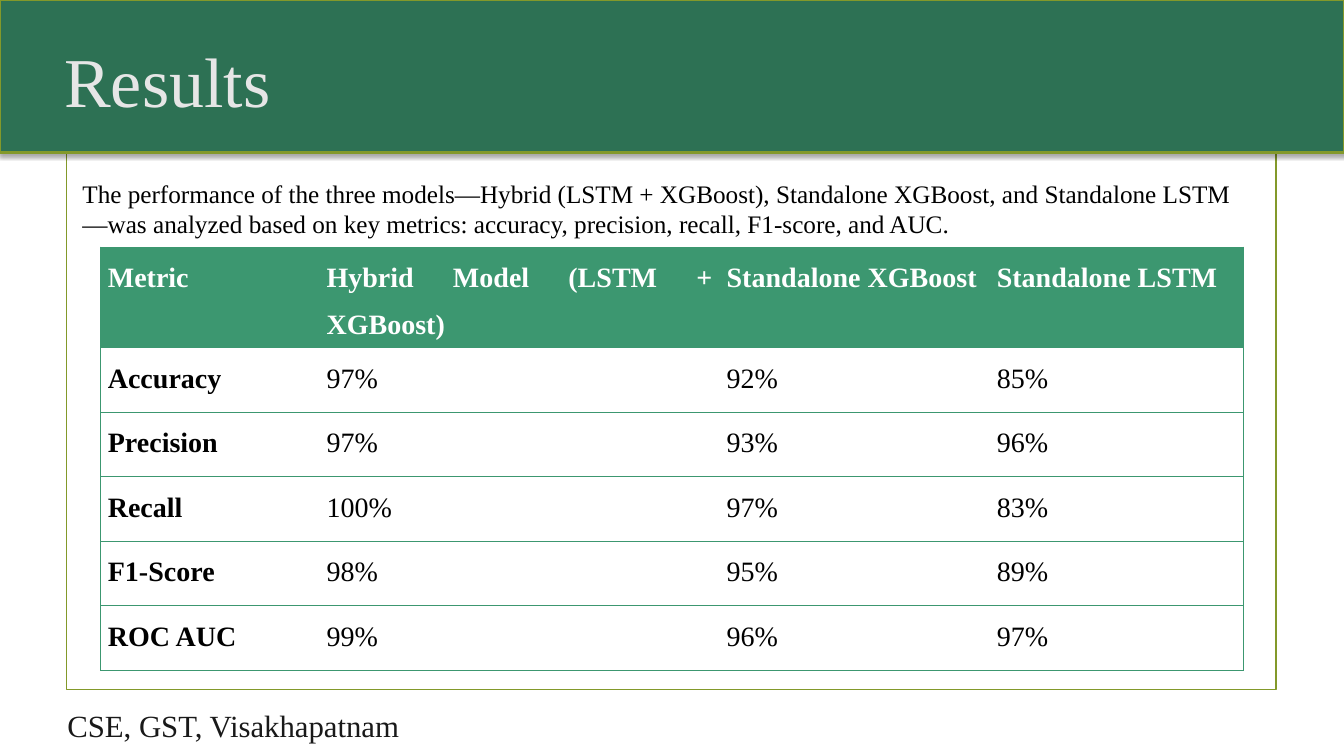
import pptx
import pptx.util
import pptx.oxml
import pptx.oxml.ns
import pptx.dml.color
import pptx.enum.shapes
import pptx.enum.text
import lxml.etree

COLS, ROWS = 160, 90
UNIT = pptx.util.Inches(7.5) // ROWS
FONT = "Times New Roman"
HUES = {
    "band": "2D7154",
    "edge": "83992A",
    "head": "3C9770",
    "pale": "E6E6E6",
    "dark": "191919",
    "ink": "000000",
    "white": "FFFFFF",
}
DATA = [
    ["Metric", "Hybrid Model (LSTM + XGBoost)", "Standalone XGBoost", "Standalone LSTM"],
    ["Accuracy", "97%", "92%", "85%"],
    ["Precision", "97%", "93%", "96%"],
    ["Recall", "100%", "97%", "83%"],
    ["F1-Score", "98%", "95%", "89%"],
    ["ROC AUC", "99%", "96%", "97%"],
]
INTRO = (
    "The performance of the three models—Hybrid (LSTM + XGBoost), Standalone XGBoost, "
    "and Standalone LSTM—was analyzed based on key metrics: accuracy, precision, recall, "
    "F1-score, and AUC."
)


def hue(name):
    return pptx.dml.color.RGBColor.from_string(HUES[name])


def place(box):
    return [round(part * UNIT) for part in box]


def style(para, size, color, bold=False):
    para.font.name = FONT
    para.font.size = pptx.util.Pt(size)
    para.font.bold = bold
    para.font.color.rgb = hue(color)


def panel(slide, box, width, fill=None):
    kind = pptx.enum.shapes.MSO_SHAPE.RECTANGLE
    shape = slide.shapes.add_shape(kind, *place(box))
    shape.shadow.inherit = False
    if fill:
        shape.fill.solid()
        shape.fill.fore_color.rgb = hue(fill)
    else:
        shape.fill.background()
    shape.line.color.rgb = hue("edge")
    shape.line.width = pptx.util.Pt(width)
    return shape


def label(slide, box, text, size, color, middle=False):
    frame = slide.shapes.add_textbox(*place(box)).text_frame
    frame.word_wrap = True
    if middle:
        frame.vertical_anchor = pptx.enum.text.MSO_ANCHOR.MIDDLE
    para = frame.paragraphs[0]
    para.text = text
    style(para, size, color)


def banner(slide, box):
    left, top, width, height = box
    band = panel(slide, box, 2, "band")
    glow = band._element.spPr.find(pptx.oxml.ns.qn("a:effectLst"))
    glow.append(pptx.oxml.parse_xml(
        f'<a:outerShdw {pptx.oxml.ns.nsdecls("a")} blurRad="38100" dist="22860" '
        f'dir="5400000" rotWithShape="0"><a:srgbClr val="{HUES["ink"]}">'
        '<a:alpha val="35000"/></a:srgbClr></a:outerShdw>'
    ))
    title = (left + 6.48, top + 3.84, width - 6.48, height - 6.84)
    label(slide, title, "Results", 50, "pale")


def border(cell, sides):
    props = cell._tc.get_or_add_tcPr()
    for spot, side in enumerate("LRTB"):
        line = lxml.etree.Element(pptx.oxml.ns.qn(f"a:ln{side}"), w="9525")
        if side in sides:
            fill = lxml.etree.SubElement(line, pptx.oxml.ns.qn("a:solidFill"))
            lxml.etree.SubElement(fill, pptx.oxml.ns.qn("a:srgbClr"), val=HUES["head"])
        else:
            lxml.etree.SubElement(line, pptx.oxml.ns.qn("a:noFill"))
        props.insert(spot, line)


def entry(cell, text, head, first, last):
    cell.margin_left = cell.margin_right = pptx.util.Inches(0.07)
    cell.margin_top = cell.margin_bottom = 0
    if head:
        cell.fill.solid()
        cell.fill.fore_color.rgb = hue("head")
    else:
        cell.fill.background()
    para = cell.text_frame.paragraphs[0]
    para.text = text
    para.alignment = pptx.enum.text.PP_ALIGN.JUSTIFY
    para.line_spacing = 1.5
    para.space_after = pptx.util.Pt(8)
    style(para, 20, "white" if head else "ink", head or first)
    border(cell, "TB" + "L" * first + "R" * last)


def scores(slide, box):
    spans = [26.04, 47.64, 32.16, 30.24]
    table = slide.shapes.add_table(len(DATA), len(spans), *place(box)).table
    table.horz_banding = False
    for column, span in zip(table.columns, spans):
        column.width = round(box[2] * span / sum(spans) * UNIT)
    for row, texts in enumerate(DATA):
        table.rows[row].height = round(box[3] / len(DATA) * UNIT)
        for col, text in enumerate(texts):
            entry(table.cell(row, col), text, row == 0, col == 0, col == len(spans) - 1)


def content(slide, box):
    left, top, width, height = box
    panel(slide, box, 1.25)
    label(slide, (left + 0.72, top + 12.48, width - 3.96, 8.52), INTRO, 18, "ink", True)
    scores(slide, (left + 4.08, top + 21.36, width - 7.92, 46.08))


def footer(slide, box):
    label(slide, box, "CSE, GST, Visakhapatnam", 22, "dark")


def main():
    deck = pptx.Presentation()
    deck.slide_width = COLS * UNIT
    deck.slide_height = ROWS * UNIT
    slide = deck.slides.add_slide(deck.slide_layouts[6])
    content(slide, (7.92, 8.04, 144, 74.04))
    banner(slide, (0, 0, COLS, 18.12))
    footer(slide, (6.84, 83.52, 83.64, 5.64))
    deck.save("out.pptx")


if __name__ == "__main__":
    main()
